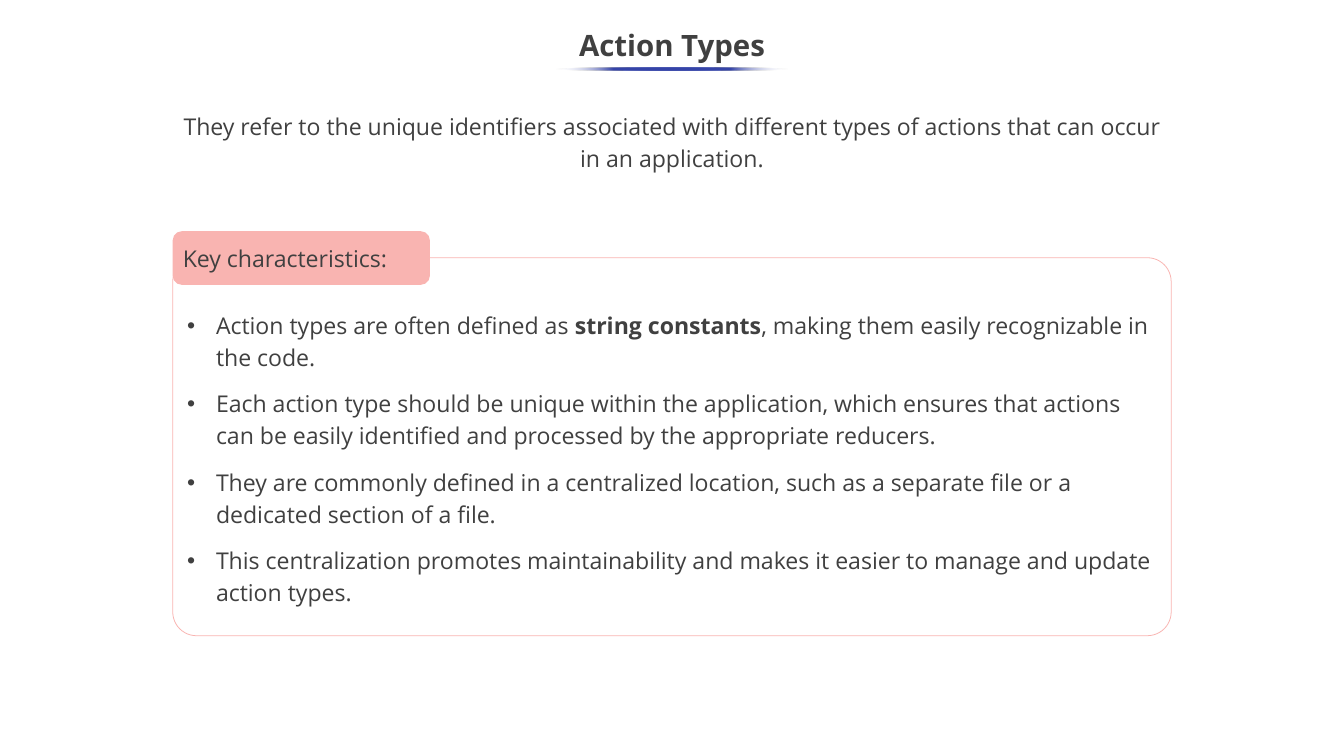
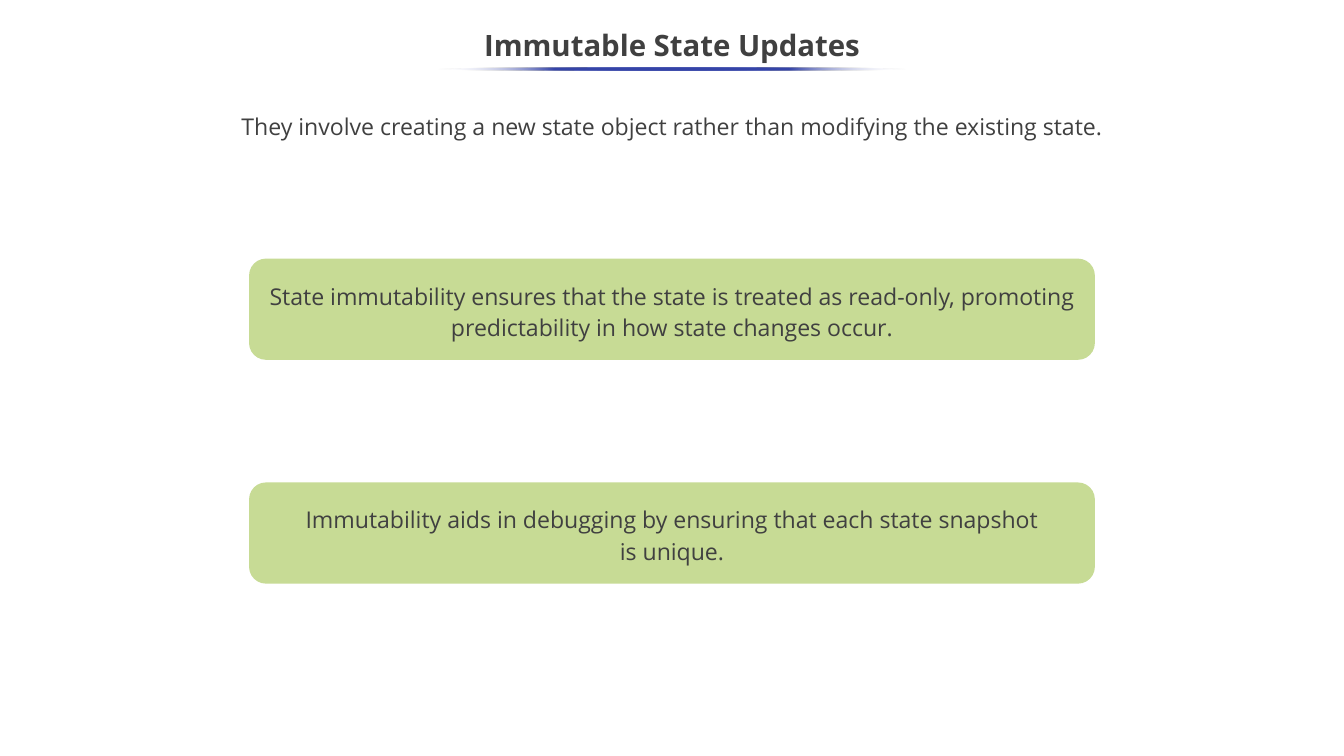
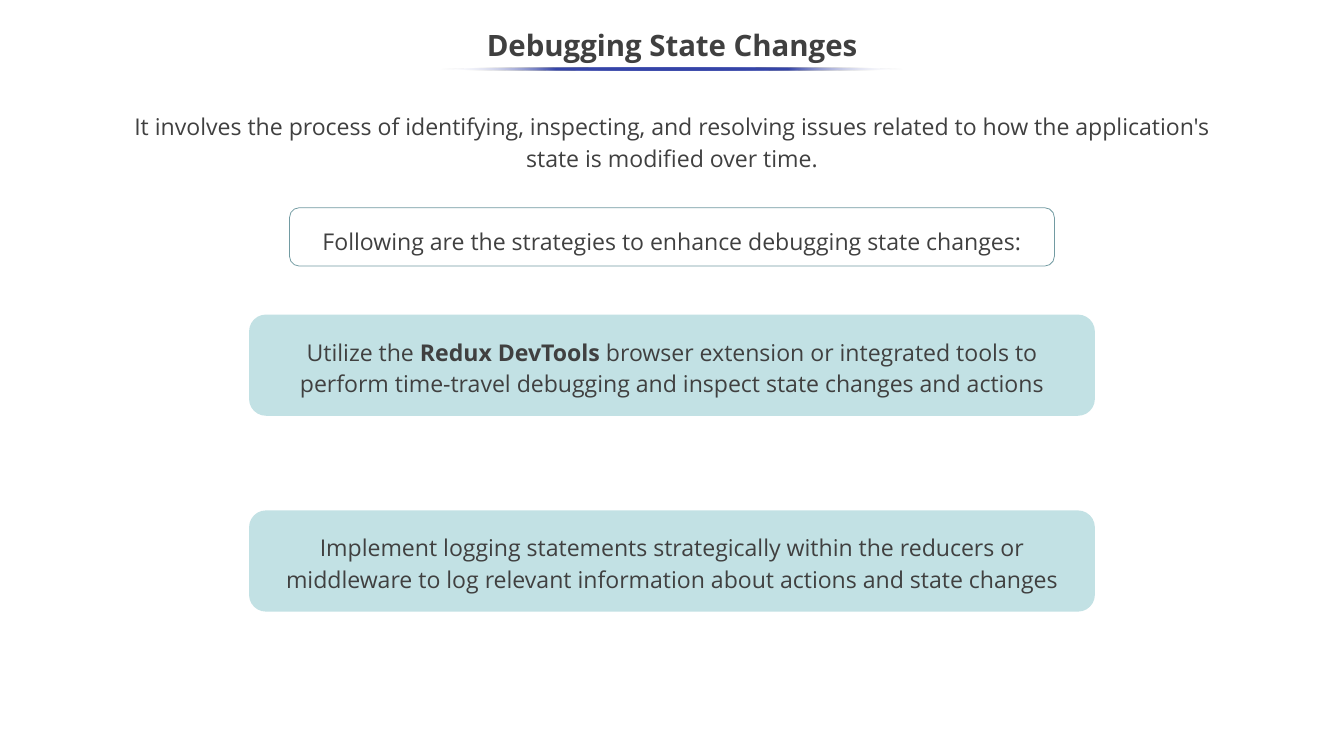
"""Builds three slides on action types, immutable state and debugging."""
from lxml import etree
from pptx import Presentation
from pptx.dml.color import RGBColor
from pptx.enum.shapes import MSO_SHAPE
from pptx.enum.text import MSO_ANCHOR, MSO_AUTO_SIZE, PP_ALIGN
from pptx.oxml import parse_xml
from pptx.oxml.ns import nsdecls, qn
from pptx.util import Cm, Pt

FONT = "Open Sans"
TEXT = RGBColor(0x40, 0x40, 0x40)
ACCENT = RGBColor(0x36, 0x45, 0xA9)
WHITE = RGBColor(0xFF, 0xFF, 0xFF)
PINK = RGBColor(0xF9, 0xB4, 0xB1)
GREEN = RGBColor(0xC7, 0xDB, 0x95)
TEAL = RGBColor(0xC2, 0xE1, 0xE4)
TEAL_LINE = RGBColor(0x72, 0x9B, 0xA2)

SLIDE_W, SLIDE_H = 45.16, 25.4
NARROW, WIDE = 33.55, 38.05
BOX_W, BOX_H = 28.42, 3.4
LIST_LEFT = (SLIDE_W - NARROW) / 2
TITLE_ONLY_BODY, TWO_BODIES = 1, 3

CHARACTERISTICS = [
    "Action types are often defined as **string constants**, making them "
    "easily recognizable in the code.",
    "Each action type should be unique within the application, which ensures "
    "that actions can be easily identified and processed by the appropriate "
    "reducers.",
    "They are commonly defined in a centralized location, such as a separate "
    "file or a dedicated section of a file.",
    "This centralization promotes maintainability and makes it easier to "
    "manage and update action types.",
]


def place(sp, top, width, height, left=None):
    """Position a shape in centimetres, centred on the slide by default."""
    left = (SLIDE_W - width) / 2 if left is None else left
    sp.left, sp.top = Cm(left), Cm(top)
    sp.width, sp.height = Cm(width), Cm(height)


def add_runs(p, text, size=22, bold=False):
    """Add runs to a paragraph; parts between ** are bold."""
    for i, part in enumerate(text.split("**")):
        r = p.add_run()
        r.text = part
        r.font.name, r.font.size = FONT, Pt(size)
        r.font.bold = bold or i % 2 == 1
        r.font.color.rgb = TEXT


def set_bullet(p, bullet):
    """Give a paragraph a hanging bullet, or none."""
    pPr = p._p.get_or_add_pPr()
    indent = Cm(0.97) if bullet else 0
    pPr.set("marL", str(indent))
    pPr.set("indent", str(-indent))
    if bullet:
        etree.SubElement(pPr, qn("a:buFont")).set("typeface", "Arial")
        etree.SubElement(pPr, qn("a:buChar")).set("char", "•")
    else:
        etree.SubElement(pPr, qn("a:buNone"))


def write(sp, paragraphs, align=PP_ALIGN.CENTER, spacing=1.15, gap=0,
          bullet=False, anchor=MSO_ANCHOR.TOP, top=0, size=22, bold=False):
    """Fill a shape with formatted paragraphs."""
    tf = sp.text_frame
    tf.word_wrap, tf.auto_size = True, MSO_AUTO_SIZE.NONE
    tf.vertical_anchor = anchor
    tf.margin_left = tf.margin_right = Cm(0.25)
    tf.margin_top, tf.margin_bottom = Cm(top), 0
    for i, text in enumerate(paragraphs):
        p = tf.add_paragraph() if i else tf.paragraphs[0]
        set_bullet(p, bullet)
        p.alignment, p.line_spacing = align, spacing
        p.space_before, p.space_after = Pt(gap if i else 0), Pt(0)
        add_runs(p, text, size, bold)


def add_shape(slide, kind, top, width, height, fill=None, line=None, left=None):
    """Add a flat preset shape with an optional fill and outline."""
    sp = slide.shapes.add_shape(kind, 0, 0, 0, 0)
    place(sp, top, width, height, left)
    sp.shadow.inherit = False
    if fill is None:
        sp.fill.background()
    else:
        sp.fill.solid()
        sp.fill.fore_color.rgb = fill
    if line is None:
        sp.line.fill.background()
    else:
        sp.line.color.rgb, sp.line.width = line, Pt(0.75)
    return sp


def add_underline(slide, width):
    """Add the thin ellipse under the title that fades at both ends."""
    sp = add_shape(slide, MSO_SHAPE.OVAL, 2.26, width, 0.1, ACCENT)
    solid = sp._element.spPr.find(qn("a:solidFill"))
    clear = f'<a:srgbClr val="{WHITE}"><a:alpha val="0"/></a:srgbClr>'
    blue = f'<a:srgbClr val="{ACCENT}"/>'
    stops = "".join(
        f'<a:gs pos="{pos * 1000}">{clear if pos in (0, 100) else blue}</a:gs>'
        for pos in range(0, 101, 25))
    solid.getparent().replace(solid, parse_xml(
        f'<a:gradFill {nsdecls("a")} rotWithShape="1"><a:gsLst>{stops}</a:gsLst>'
        '<a:lin ang="10800000" scaled="0"/></a:gradFill>'))


def add_slide(prs, title, underline, intro, intro_w=WIDE, layout=TITLE_ONLY_BODY):
    """Add a slide with its title, underline and introduction."""
    slide = prs.slides.add_slide(prs.slide_layouts[layout])
    place(slide.shapes.title, 0.64, SLIDE_W, 1.9)
    write(slide.shapes.title, [title], spacing=0.9, anchor=MSO_ANCHOR.MIDDLE,
          size=28, bold=True)
    body = slide.placeholders[1]
    place(body, 3.63, intro_w, 2.51)
    write(body, [intro])
    add_underline(slide, underline)
    return slide


def add_framed_list(slide, items, label):
    """Turn the second body into a rounded bullet list with a label."""
    body = slide.placeholders[2]
    place(body, 8.66, NARROW, 12.7, LIST_LEFT)
    body._element.spPr.append(parse_xml(
        f'<a:prstGeom {nsdecls("a")} prst="roundRect"><a:avLst>'
        '<a:gd name="adj" fmla="val 6300"/></a:avLst></a:prstGeom>'))
    body.line.color.rgb, body.line.width = PINK, Pt(0.75)
    write(body, items, PP_ALIGN.LEFT, gap=14, bullet=True, top=1.43)
    tag = add_shape(slide, MSO_SHAPE.ROUNDED_RECTANGLE, 7.77, 8.64, 1.8, PINK,
                    left=LIST_LEFT)
    write(tag, [label], PP_ALIGN.LEFT, spacing=1.0, anchor=MSO_ANCHOR.MIDDLE)


def add_box(slide, top, paragraphs, fill):
    """Add a filled rounded box with centred text."""
    sp = add_shape(slide, MSO_SHAPE.ROUNDED_RECTANGLE, top, BOX_W, BOX_H, fill)
    write(sp, paragraphs, top=0.48)


def main():
    """Build and save the presentation."""
    prs = Presentation()
    prs.slide_width, prs.slide_height = Cm(SLIDE_W), Cm(SLIDE_H)

    slide = add_slide(
        prs, "Action Types", 7.82,
        "They refer to the unique identifiers associated with different types "
        "of actions that can occur in an application.", NARROW, TWO_BODIES)
    add_framed_list(slide, CHARACTERISTICS, "Key characteristics:")

    slide = add_slide(
        prs, "Immutable State Updates", 15.77,
        "They involve creating a new state object rather than modifying the "
        "existing state.")
    add_box(slide, 8.69, [
        "State immutability ensures that the state is treated as read-only, "
        "promoting predictability in how state changes occur."], GREEN)
    add_box(slide, 16.21, [
        "Immutability aids in debugging by ensuring that each state snapshot",
        "is unique."], GREEN)

    slide = add_slide(
        prs, "Debugging State Changes", 15.57,
        "It involves the process of identifying, inspecting, and resolving "
        "issues related to how the application's state is modified over time.")
    sp = add_shape(slide, MSO_SHAPE.ROUNDED_RECTANGLE, 6.98, 25.7, 1.96,
                   line=TEAL_LINE)
    write(sp, ["Following are the strategies to enhance debugging state changes:"],
          spacing=1.35, anchor=MSO_ANCHOR.MIDDLE)
    add_box(slide, 10.57, [
        "Utilize the **Redux DevTools** browser extension or integrated tools "
        "to perform time-travel debugging and inspect state changes and "
        "actions"], TEAL)
    add_box(slide, 17.15, [
        "Implement logging statements strategically within the reducers or "
        "middleware to log relevant information about actions and state "
        "changes"], TEAL)

    prs.save("out.pptx")


if __name__ == "__main__":
    main()
